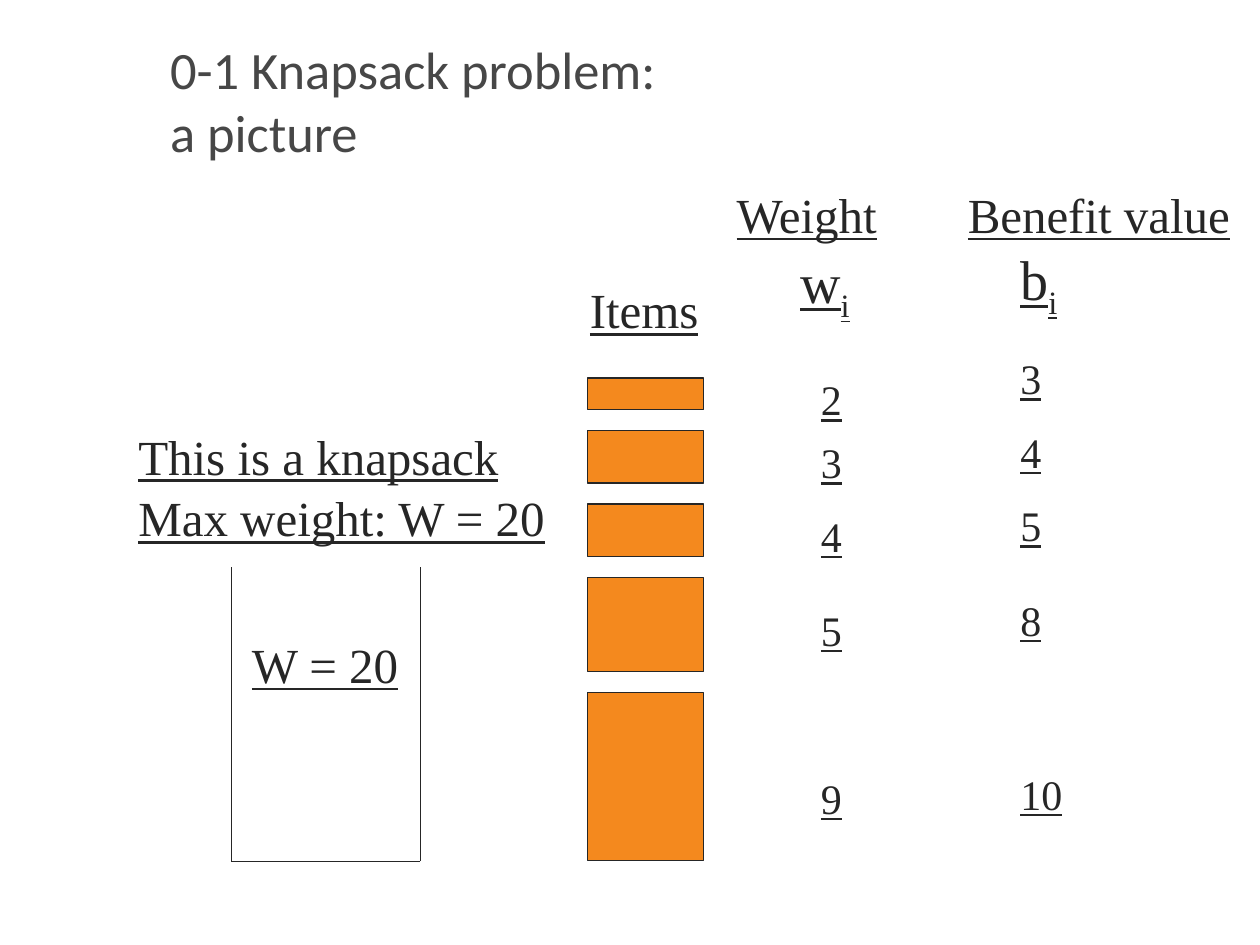
from dataclasses import dataclass

from lxml.etree import SubElement
from pptx import Presentation
from pptx.dml.color import RGBColor
from pptx.enum.shapes import MSO_CONNECTOR, MSO_SHAPE
from pptx.enum.text import MSO_ANCHOR, MSO_AUTO_SIZE
from pptx.oxml.ns import qn
from pptx.util import Cm, Pt


@dataclass(frozen=True)
class Theme:
    title_color: RGBColor = RGBColor(0x47, 0x47, 0x47)
    ink: RGBColor = RGBColor(0x26, 0x26, 0x26)
    item_fill: RGBColor = RGBColor(0xF4, 0x89, 0x1E)
    title_font: str = "Calibri"
    body_font: str = "Times New Roman"
    title_size: int = 30
    symbol_size: int = 32
    label_size: int = 28
    number_size: int = 24
    line_width: float = 0.75
    space_before: float = 1.5


class SlideBuilder:
    def __init__(self, slide, theme):
        self.slide = slide
        self.theme = theme

    def text_box(self, left, top, width, height):
        box = self.slide.shapes.add_textbox(Cm(left), Cm(top), Cm(width), Cm(height))
        return box.text_frame

    def title(self, text, left, top, width, height):
        frame = self.text_box(left, top, width, height)
        frame.word_wrap = True
        frame.vertical_anchor = MSO_ANCHOR.MIDDLE
        paragraph = frame.paragraphs[0]
        paragraph.text = text
        paragraph.font.name = self.theme.title_font
        paragraph.font.size = Pt(self.theme.title_size)
        paragraph.font.color.rgb = self.theme.title_color

    def label(self, text, left, top, width, height, size):
        frame = self.text_box(left, top, width, height)
        frame.word_wrap = False
        frame.auto_size = MSO_AUTO_SIZE.SHAPE_TO_FIT_TEXT
        frame.text = text
        for paragraph in frame.paragraphs:
            paragraph.space_before = Pt(self.theme.space_before)
            font = paragraph.font
            font.name = self.theme.body_font
            font.size = Pt(size)
            font.color.rgb = self.theme.ink
            font.underline = True
        return frame

    def symbol(self, letter, index, left, top):
        frame = self.label(letter, left, top, 1.52, 1.6, self.theme.symbol_size)
        frame.word_wrap = True
        subscript = frame.paragraphs[0].add_run()
        subscript.text = index
        subscript.font._element.set("baseline", "-25000")

    def item(self, left, top, width, height):
        shape = self.slide.shapes.add_shape(
            MSO_SHAPE.RECTANGLE, Cm(left), Cm(top), Cm(width), Cm(height))
        shape.shadow.inherit = False
        shape.fill.solid()
        shape.fill.fore_color.rgb = self.theme.item_fill
        self.outline(shape.line)

    def line(self, start, end):
        connector = self.slide.shapes.add_connector(
            MSO_CONNECTOR.STRAIGHT, *map(Cm, start + end))
        self.outline(connector.line)
        SubElement(connector._element.spPr, qn("a:effectLst"))

    def outline(self, line):
        line.color.rgb = self.theme.ink
        line.width = Pt(self.theme.line_width)


def main():
    presentation = Presentation()
    presentation.slide_width = Cm(25.4)
    presentation.slide_height = Cm(19.05)
    slide = presentation.slides.add_slide(presentation.slide_layouts[6])
    theme = Theme()
    builder = SlideBuilder(slide, theme)

    builder.title("0-1 Knapsack problem:\va picture", 3.18, 0.42, 22.22, 3.18)

    left, right, top, bottom = 4.66, 8.47, 11.43, 17.36
    corners = [(left, top), (left, bottom), (right, bottom), (right, top)]
    for start, end in zip(corners, corners[1:]):
        builder.line(start, end)

    labels = [
        ("W = 20", 4.83, 12.67, 3.5, 1.45),
        ("This is a knapsack\nMax weight: W = 20", 2.54, 8.47, 8.76, 2.62),
        ("Items", 11.64, 5.52, 2.8, 1.45),
        ("Weight", 14.6, 3.6, 3.42, 1.45),
        ("Benefit value", 19.26, 3.6, 5.82, 1.45),
    ]
    for label in labels:
        builder.label(*label, theme.label_size)

    builder.symbol("w", "i", 15.88, 4.87)
    builder.symbol("b", "i", 20.32, 4.8)

    items = [
        (0.64, "2", 7.41, "3", 6.99),
        (1.06, "3", 8.68, "4", 8.47),
        (1.06, "4", 10.16, "5", 9.95),
        (1.9, "5", 12.06, "8", 11.85),
        (3.39, "9", 15.45, "10", 15.36),
    ]
    item_top, item_gap = 7.62, 0.42
    digit_width = {1: 0.94, 2: 1.38}
    for height, weight, weight_top, benefit, benefit_top in items:
        builder.item(11.85, item_top, 2.33, height)
        item_top += height + item_gap
        for text, column, number_top in (
                (weight, 16.3, weight_top), (benefit, 20.32, benefit_top)):
            builder.label(text, column, number_top,
                          digit_width[len(text)], 1.27, theme.number_size)

    presentation.save("out.pptx")


if __name__ == "__main__":
    main()
